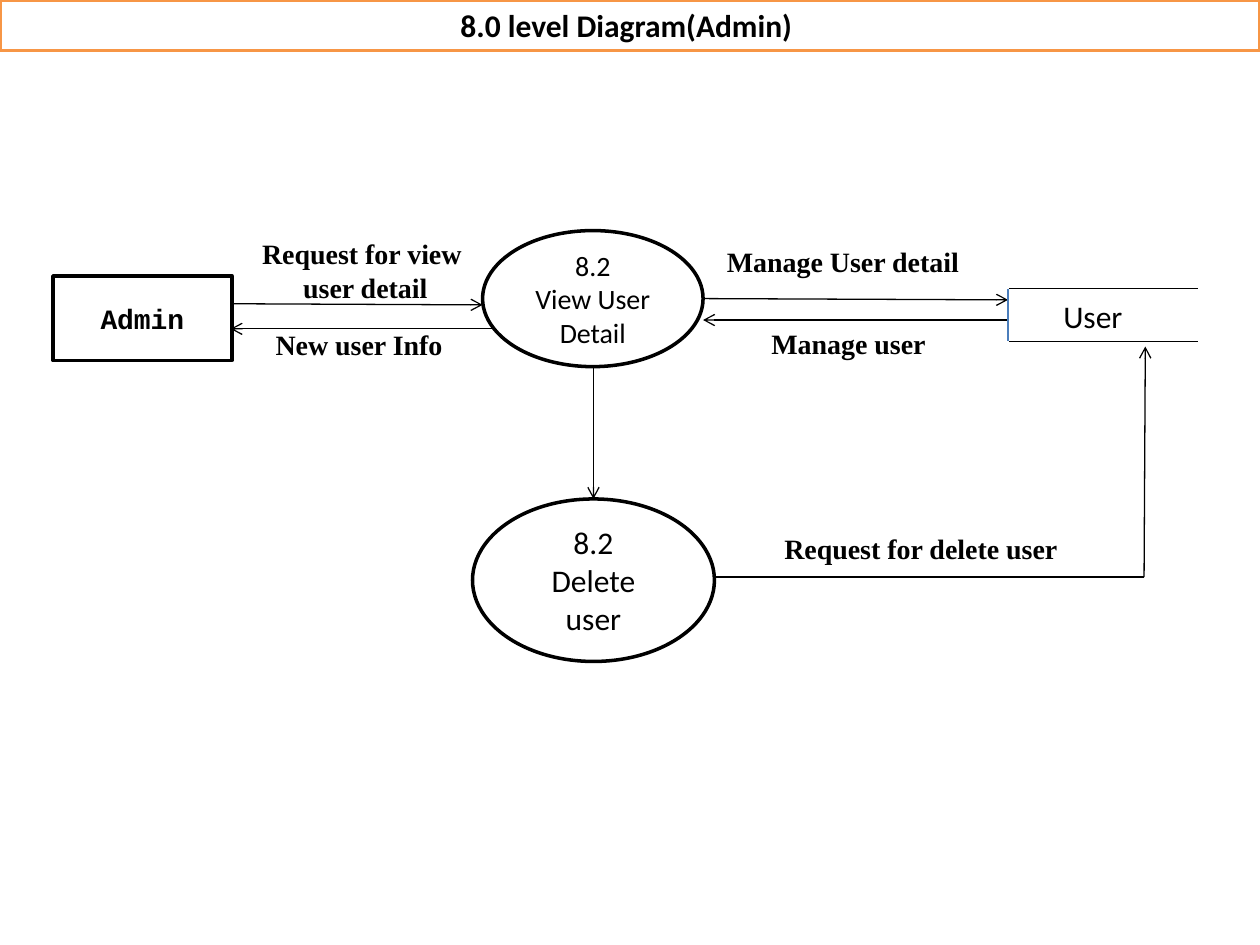
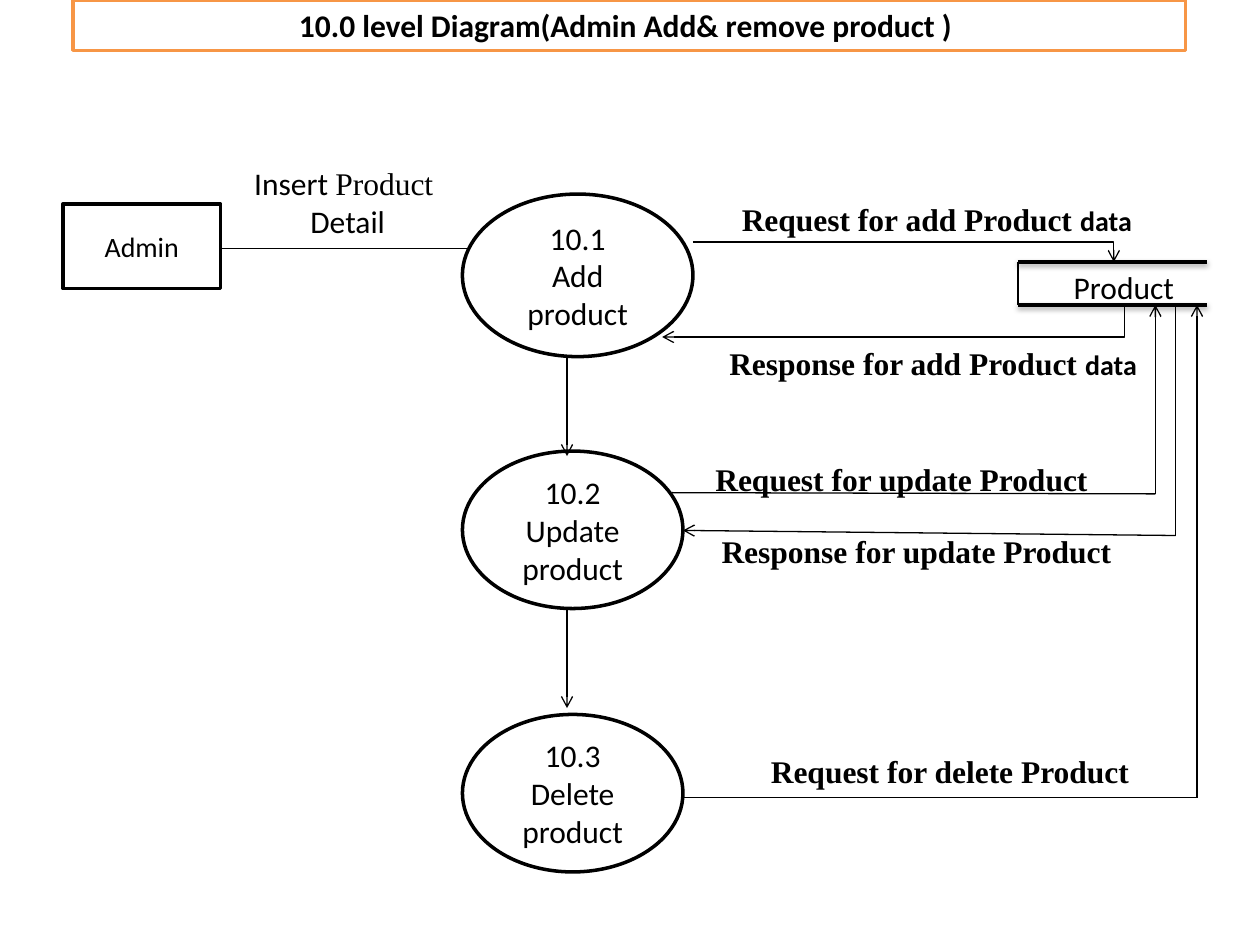
from lxml import etree
from pptx import Presentation
from pptx import util as u
from pptx.dml.color import RGBColor
from pptx.enum import shapes, text
from pptx.oxml.ns import qn

PX = 9144  # 100 px to the inch
COLORS = {"ink": "000000", "paper": "FFFFFF", "band": "F79646", "store": "4B7EBC"}
SANS, SERIF, MONO = "Calibri", "Times New Roman", "Courier New"
RECT, OVAL = shapes.MSO_SHAPE.RECTANGLE, shapes.MSO_SHAPE.OVAL
PROCESS = shapes.MSO_SHAPE.FLOWCHART_PROCESS
STRAIGHT, ELBOW = shapes.MSO_CONNECTOR.STRAIGHT, shapes.MSO_CONNECTOR.ELBOW


def add_text(s, box, paras, size, font, bold=False, kind=None, line="ink",
             fill="paper", middle=True, wrap=True, align=text.PP_ALIGN.CENTER):
    """Text box, or a preset shape if kind is given; a paragraph is a string or (text, font, size) runs."""
    box = [v * PX for v in box]
    if kind is None:
        sp = s.shapes.add_textbox(*box)
    else:
        sp = s.shapes.add_shape(kind, *box)
        sp.shadow.inherit = False
        sp.line.color.rgb = RGBColor.from_string(COLORS[line])
        sp.line.width = u.Pt(2)
        if fill:
            sp.fill.solid()
            sp.fill.fore_color.rgb = RGBColor.from_string(COLORS[fill])
        else:
            sp.fill.background()
    tf = sp.text_frame
    tf.word_wrap = wrap
    if kind and middle:
        tf.vertical_anchor = text.MSO_ANCHOR.MIDDLE
    else:
        tf.vertical_anchor = text.MSO_ANCHOR.TOP
        tf.auto_size = text.MSO_AUTO_SIZE.SHAPE_TO_FIT_TEXT
    for i, para in enumerate(paras):
        p = tf.paragraphs[0] if i == 0 else tf.add_paragraph()
        p.alignment = align
        for words, face, pt in [(para, font, size)] if isinstance(para, str) else para:
            r = p.add_run()
            r.text = words
            r.font.name, r.font.size, r.font.bold = face, u.Pt(pt), bold
            r.font.color.rgb = RGBColor.from_string(COLORS["ink"])


def add_line(s, ends, arrow=True, width=0.75, color="ink", kind=STRAIGHT, turn=0, shadow=False):
    """Connector from (x1, y1) to (x2, y2); an elbow has one corner and may be turned."""
    cxn = s.shapes.add_connector(kind, *[v * PX for v in ends])
    cxn.line.color.rgb = RGBColor.from_string(COLORS[color])
    cxn.line.width = u.Pt(width)
    sppr = cxn._element.spPr
    if arrow:
        etree.SubElement(cxn.line._get_or_add_ln(), qn("a:tailEnd"), type="arrow")
    if kind == ELBOW:
        sppr.find(qn("a:prstGeom")).set("prst", "bentConnector2")
        sppr.find(qn("a:xfrm")).set("rot", str(turn * 60000))
    effects = etree.SubElement(sppr, qn("a:effectLst"))
    if shadow:
        outer = etree.SubElement(effects, qn("a:outerShdw"), blurRad=str(u.Pt(3.1)),
                                 dist=str(u.Pt(1.6)), dir="5400000", rotWithShape="0")
        shade = etree.SubElement(outer, qn("a:srgbClr"), val=COLORS["ink"])
        etree.SubElement(shade, qn("a:alpha"), val="38000")


prs = Presentation()
prs.slide_width, prs.slide_height = 1000 * PX, 750 * PX

# Both slides: title band
admin, product = [prs.slides.add_slide(prs.slide_layouts[6]) for _ in range(2)]
for s, left, width, title in [
    (admin, 0, 1000, "8.0 level Diagram(Admin) "),
    (product, 58, 883, "10.0 level Diagram(Admin Add& remove product ) "),
]:
    add_text(s, (left, 0, width, 40), [title], 18, SANS, True, RECT, "band", None, middle=False)

# Slide 1: flows that run between the nodes
s = admin
for ends in [
    (166, 241, 383, 242), (392, 261, 183, 261),  # admin and view
    (558, 237, 800, 238), (800, 254, 558, 254),  # view and store
    (471, 292, 471, 396), (908, 458, 909, 275),  # down to delete, up to store
]:
    add_line(s, ends)
add_line(s, (567, 458, 908, 458), arrow=False)

# Slide 1: nodes
add_text(s, (42, 219, 142, 67), ["Admin"], 16, MONO, True, PROCESS, wrap=False)
add_text(s, (383, 183, 175, 108), ["8.2", "View User", "Detail"], 16, SANS, kind=OVAL)
add_text(s, (375, 396, 192, 129), ["8.2", "Delete", "user"], 18, SANS, kind=OVAL)

# Slide 1: open-ended user store
for y in (229, 271):
    add_line(s, (801, y, 951, y), arrow=False)
add_line(s, (800, 229, 800, 271), arrow=False, color="store")
add_text(s, (834, 231, 68, 40), ["User"], 18, SANS, wrap=False, align=text.PP_ALIGN.LEFT)

# Slide 1: flow labels
add_text(s, (567, 189, 283, 37), ["Manage User detail"], 16, SERIF, True, align=text.PP_ALIGN.LEFT)
for box, paras, wrap in [
    ((547, 254, 253, 37), ["Manage user"], True),
    ((550, 417, 367, 37), ["Request for delete user "], True),
    ((197, 183, 186, 64), ["Request for view ", "user detail"], False),
    ((208, 255, 154, 37), ["New user Info"], False),
]:
    add_text(s, box, paras, 16, SERIF, True, wrap=wrap)

# Slide 2: nodes, with the insert flow ending behind the first process
s = product
add_line(s, (175, 197, 392, 197))
add_text(s, (50, 162, 125, 67), ["Admin"], 16, SANS, kind=RECT)
for box, paras in [
    ((367, 154, 183, 129), ["10.1", "Add product"]),
    ((367, 358, 175, 125), ["10.2", "Update product"]),
    ((367, 567, 175, 125), ["10.3", "Delete product"]),
]:
    add_text(s, box, paras, 18, SANS, kind=OVAL)

# Slide 2: open-ended product store
for y in (208, 242):
    add_line(s, (808, y, 958, y), arrow=False, width=2, shadow=True)
add_line(s, (808, 208, 808, 242), arrow=False)
add_text(s, (808, 208, 168, 40), ["Product"], 18, SANS)

# Slide 2: flows
add_line(s, (550, 192, 884, 208), kind=ELBOW)
add_line(s, (696, 71, 722, 438), kind=ELBOW, turn=90)
for y in (283, 483):
    add_line(s, (450, y, 450, y + 79))
for first, last in [
    ((533, 391, 917, 392), (917, 392, 917, 242)),  # update request
    ((933, 242, 933, 425), (933, 425, 542, 421)),  # update response
    ((542, 633, 950, 633), (950, 633, 950, 242)),  # delete request
]:
    add_line(s, first, arrow=False)
    add_line(s, last)

# Slide 2: flow labels
add_text(s, (191, 125, 170, 71),
         [[("Insert ", SANS, 18), ("Product ", SERIF, 18)], "Detail"], 18, SANS, wrap=False)
data = ("data", SANS, 16)
for box, para in [
    ((565, 154, 357, 40), [("Request for add Product ", SERIF, 18), data]),
    ((558, 268, 365, 40), [("Response for add Product ", SERIF, 18), data]),
    ((556, 360, 319, 40), "Request for update Product"),
    ((561, 417, 339, 40), "Response for update Product "),
    ((600, 592, 308, 40), "Request for delete Product"),
]:
    add_text(s, box, [para], 18, SERIF, True, wrap=False)

prs.save("out.pptx")
